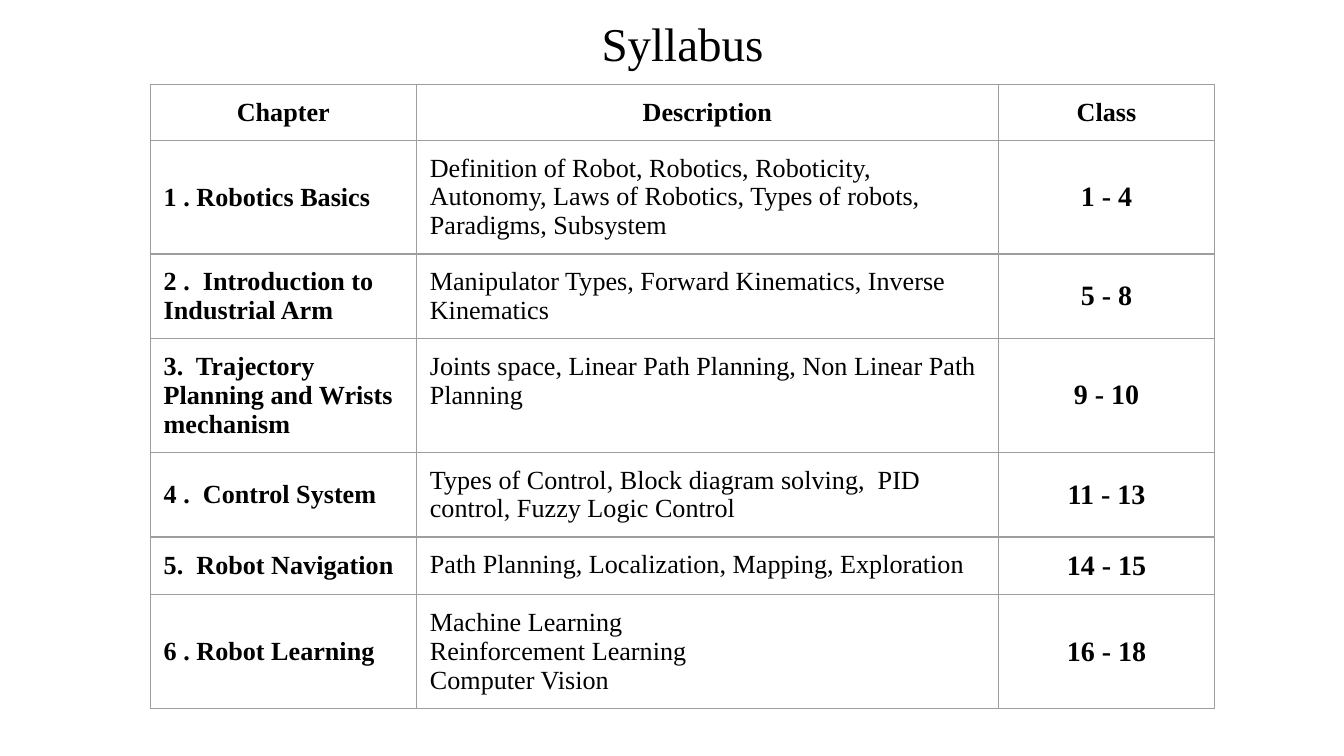
from pptx import Presentation
from pptx.dml.color import RGBColor
from pptx.enum.text import MSO_ANCHOR, PP_ALIGN
from pptx.oxml import parse_xml
from pptx.oxml.ns import nsdecls
from pptx.util import Pt

BLACK = RGBColor(0x00, 0x00, 0x00)
GREY = RGBColor(0x9E, 0x9E, 0x9E)
INSET = Pt(7.2)
INSETS = dict.fromkeys(("margin_left", "margin_right", "margin_top", "margin_bottom"), INSET)
HEADER = {"size": Pt(14), "bold": True}
COLUMNS = [
    ({"size": Pt(14), "bold": True}, PP_ALIGN.LEFT, MSO_ANCHOR.MIDDLE),
    ({"size": Pt(14), "bold": False}, PP_ALIGN.LEFT, MSO_ANCHOR.TOP),
    ({"size": Pt(15), "bold": True}, PP_ALIGN.CENTER, MSO_ANCHOR.MIDDLE),
]
SYLLABUS = [
    ("Chapter", "Description", "Class"),
    ("1 . Robotics Basics",
     "Definition of Robot, Robotics, Roboticity, Autonomy, Laws of Robotics, "
     "Types of robots, Paradigms, Subsystem", "1 - 4"),
    ("2 .  Introduction to Industrial Arm",
     "Manipulator Types, Forward Kinematics, Inverse Kinematics", "5 - 8"),
    ("3.  Trajectory Planning and Wrists mechanism",
     "Joints space, Linear Path Planning, Non Linear Path Planning", "9 - 10"),
    ("4 .  Control System",
     "Types of Control, Block diagram solving,  PID control, Fuzzy Logic Control", "11 - 13"),
    ("5.  Robot Navigation", "Path Planning, Localization, Mapping, Exploration", "14 - 15"),
    ("6 . Robot Learning",
     "Machine Learning\nReinforcement Learning\nComputer Vision", "16 - 18"),
]


class SlideBuilder:
    """Hold the text style and the current slide, and add elements to it."""

    def __init__(self, s):
        self.s = s
        self.font = {"name": "Times New Roman"}

    def apply(self, obj, values):
        for name, value in values.items():
            setattr(obj, name, value)

    def text(self, tf, content, font, align):
        tf.text = content
        for p in tf.paragraphs:
            p.alignment = align
            for r in p.runs:
                self.apply(r.font, {**self.font, **font})
                r.font.color.rgb = BLACK

    def title(self, content, left, top, width, height):
        sp = self.s.shapes.title
        self.apply(sp, {"left": Pt(left), "top": Pt(top),
                        "width": Pt(width), "height": Pt(height)})
        tf = sp.text_frame
        self.apply(tf, {**INSETS, "word_wrap": True, "vertical_anchor": MSO_ANCHOR.BOTTOM})
        self.text(tf, content, {"size": Pt(25.2), "bold": False}, PP_ALIGN.CENTER)

    def border(self, cell):
        tcPr = cell._tc.get_or_add_tcPr()
        for i, side in enumerate(("lnL", "lnR", "lnT", "lnB")):
            tcPr.insert(i, parse_xml(
                f'<a:{side} {nsdecls("a")} w="{Pt(0.75)}"><a:solidFill>'
                f'<a:srgbClr val="{GREY}"/></a:solidFill></a:{side}>'))

    def table(self, rows, left, top, widths, row_height):
        tbl = self.s.shapes.add_table(
            len(rows), len(widths), Pt(left), Pt(top),
            Pt(sum(widths)), Pt(row_height * len(rows))).table
        self.apply(tbl, {"first_row": False, "horz_banding": False})
        for column, width in zip(tbl.columns, widths):
            column.width = Pt(width)
        for i, row in enumerate(rows):
            for j, content in enumerate(row):
                cell = tbl.cell(i, j)
                font, align, anchor = COLUMNS[j]
                if i == 0:
                    font, align, anchor = HEADER, PP_ALIGN.CENTER, MSO_ANCHOR.TOP
                self.apply(cell, {**INSETS, "vertical_anchor": anchor})
                cell.fill.background()
                self.border(cell)
                self.text(cell.text_frame, content, font, align)


def main():
    prs = Presentation()
    prs.slide_width, prs.slide_height = Pt(720), Pt(405)
    builder = SlideBuilder(prs.slides.add_slide(prs.slide_layouts[5]))
    builder.title("Syllabus", 30.2, 0, 671, 45.4)
    builder.table(SYLLABUS, 80.5, 45.2, (142.6, 311.8, 115.9), 30)
    prs.save("out.pptx")


if __name__ == "__main__":
    main()
